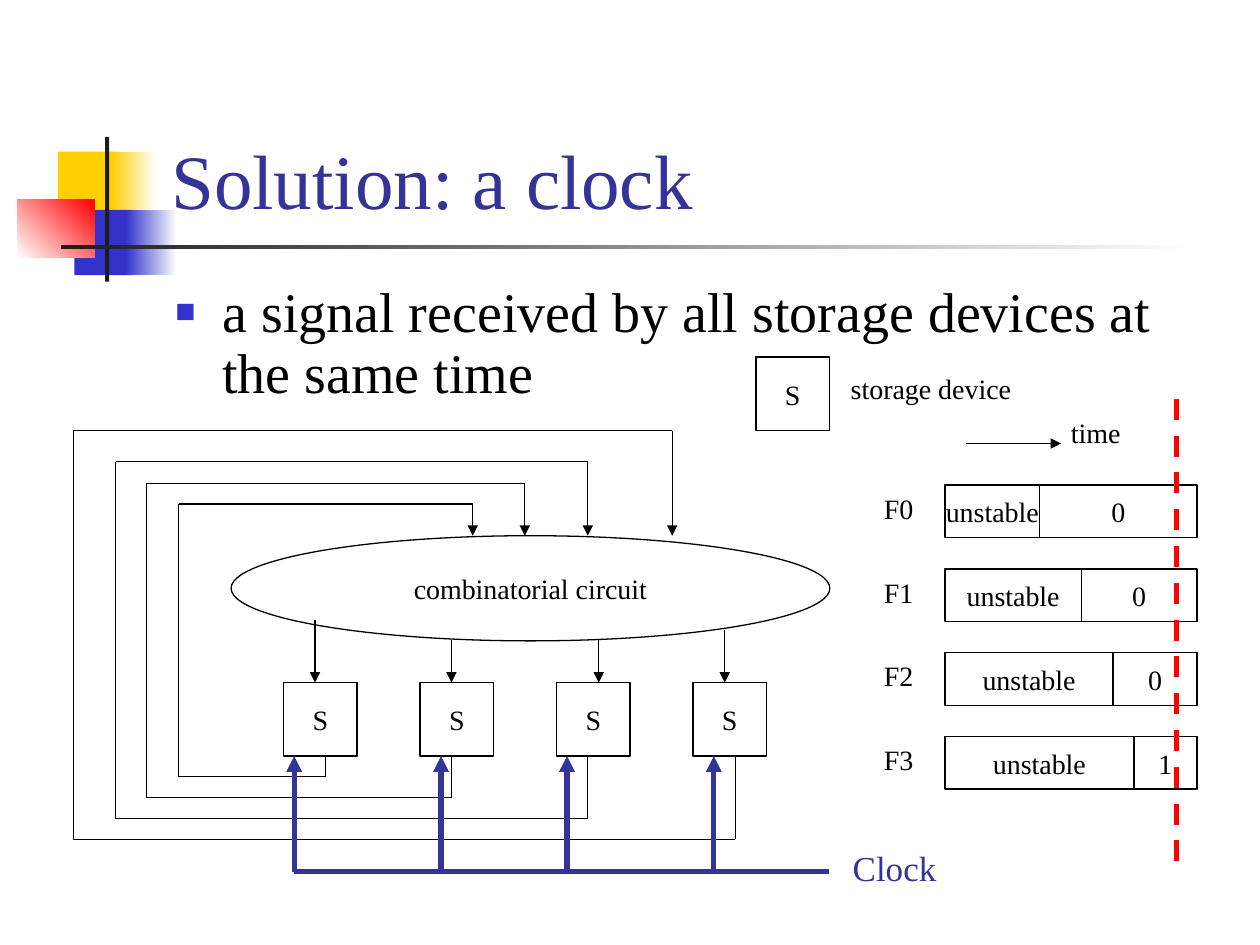
import lxml.etree
import pptx
import pptx.dml.color
import pptx.enum.dml
import pptx.enum.shapes
import pptx.enum.text
import pptx.oxml.ns
import pptx.util

Cm = pptx.util.Cm
Pt = pptx.util.Pt
RGB = pptx.dml.color.RGBColor
SHAPE = pptx.enum.shapes.MSO_SHAPE
ALIGN = pptx.enum.text.PP_ALIGN
ANCHOR = pptx.enum.text.MSO_ANCHOR
FIT = pptx.enum.text.MSO_AUTO_SIZE
qn = pptx.oxml.ns.qn
add = lxml.etree.SubElement

FONT = "Times New Roman"
BLACK = RGB(0x00, 0x00, 0x00)
WHITE = RGB(0xFF, 0xFF, 0xFF)
GOLD = RGB(0xFF, 0xCF, 0x01)
BLUE = RGB(0x33, 0x33, 0xCC)
NAVY = RGB(0x33, 0x33, 0x99)
RED = RGB(0xFF, 0x00, 0x00)
DARK = RGB(0x1C, 0x1C, 0x1C)

deck = pptx.Presentation()
deck.slide_width = Cm(25.4)
deck.slide_height = Cm(19.05)
slide = deck.slides.add_slide(deck.slide_layouts[1])
shapes = slide.shapes


def box(kind, left, top, width, height, text):
    """Draw an outlined shape with centred text."""
    shape = shapes.add_shape(kind, Cm(left), Cm(top), Cm(width), Cm(height))
    shape.shadow.inherit = False
    shape.fill.background()
    shape.line.color.rgb = BLACK
    shape.line.width = Pt(0.75)
    frame = shape.text_frame
    frame.word_wrap = False
    frame.vertical_anchor = ANCHOR.MIDDLE
    para = frame.paragraphs[0]
    para.alignment = ALIGN.CENTER
    run = para.add_run()
    run.text = text
    run.font.name = FONT
    run.font.size = Pt(16)
    run.font.color.rgb = BLACK


def wire(points, color=BLACK, width=0.75, arrow=False, dash=False):
    """Join the points with straight lines, the arrowhead on the last one."""
    for start, end in zip(points, points[1:]):
        line = shapes.add_connector(
            pptx.enum.shapes.MSO_CONNECTOR.STRAIGHT,
            Cm(start[0]), Cm(start[1]), Cm(end[0]), Cm(end[1]))
        line.line.color.rgb = color
        line.line.width = Pt(width)
        if dash:
            line.line.dash_style = pptx.enum.dml.MSO_LINE.DASH
        props = line._element.spPr
        if arrow and end == points[-1]:
            add(props.find(qn("a:ln")), qn("a:tailEnd"), type="triangle")
        add(props, qn("a:effectLst"))


# Corner ornament: place, first colour, last colour, angle
ornament = [
    (1.17, 3.06, 1.22, 1.32, GOLD, None, 0),
    (2.24, 3.06, 0.91, 1.32, GOLD, WHITE, 0),
    (1.5, 4.23, 1.17, 1.32, BLUE, None, 0),
    (2.54, 4.23, 1.02, 1.32, BLUE, WHITE, 0),
    (0.36, 4.02, 1.55, 1.17, WHITE, RED, 45),
    (2.12, 2.76, 0.08, 2.92, DARK, None, 0),
    (1.23, 4.94, 22.86, 0.09, DARK, WHITE, 0),
]
for left, top, width, height, first, last, angle in ornament:
    patch = shapes.add_shape(
        SHAPE.RECTANGLE, Cm(left), Cm(top), Cm(width), Cm(height))
    patch.shadow.inherit = False
    patch.line.fill.background()
    if last is None:
        patch.fill.solid()
        patch.fill.fore_color.rgb = first
    else:
        patch.fill.gradient()
        patch.fill.gradient_angle = angle
        for stop, color in zip(patch.fill.gradient_stops, (first, last)):
            stop.color.rgb = color

# Title and list
title = shapes.title
title.left, title.top = Cm(3.2), Cm(0.6)
title.width, title.height = Cm(21.64), Cm(4.06)
title.text_frame.vertical_anchor = ANCHOR.BOTTOM
title.text_frame.auto_size = FIT.NONE
para = title.text_frame.paragraphs[0]
para.alignment = ALIGN.LEFT
run = para.add_run()
run.text = "Solution: a clock"
run.font.name = FONT
run.font.size = Pt(44)
run.font.color.rgb = NAVY

body = slide.placeholders[1]
body.left, body.top = Cm(3.28), Cm(5.6)
body.width, body.height = Cm(21.59), Cm(2.87)
body.text_frame.auto_size = FIT.NONE
para = body.text_frame.paragraphs[0]
props = para._p.get_or_add_pPr()
props.set("marL", str(Cm(0.95)))
props.set("indent", str(Cm(-0.95)))
add(add(props, qn("a:buClr")), qn("a:srgbClr"), val=str(BLUE))
add(props, qn("a:buSzPct"), val="60000")
add(props, qn("a:buFont"), typeface=FONT)
add(props, qn("a:buChar"), char="■")
para.line_spacing = 0.9
para.space_before = Pt(0)
run = para.add_run()
run.text = "a signal received by all storage devices at the same time"
run.font.name = FONT
run.font.size = Pt(32)
run.font.color.rgb = BLACK

# Storage devices, the legend's one last
side = 1.48
base = 15.24
for i in range(4):
    box(SHAPE.RECTANGLE, 5.72 + 2.75 * i, base - side, side, side, "S")
box(SHAPE.RECTANGLE, 15.24, 7.2, side, side, "S")

# Circuit with its outputs and feedback loops
crown = 10.8
box(SHAPE.OVAL, 4.66, crown, 12.07, 2.12, "combinatorial circuit")
loops = [
    (6.56, 3.6, 10.16, 9.53),
    (9.1, 2.96, 9.74, 10.58),
    (11.85, 2.33, 9.31, 11.85),
    (14.82, 1.48, 8.68, 13.55),
]
for i, (out, left, high, back) in enumerate(loops):
    low = base + 0.42 * (i + 1)
    wire([(out, base), (out, low), (left, low), (left, high),
          (back, high), (back, crown)], arrow=True)
for x, y in [(6.35, 12.49), (9.1, 12.91), (12.07, 12.91), (14.61, 12.7)]:
    wire([(x, y), (x, base - side)], arrow=True)

# Clock line
rail = 17.57
wire([(5.93, rail), (16.72, rail)], NAVY, 3)
for x in (5.93, 8.89, 11.43, 14.39):
    wire([(x, rail), (x, base)], NAVY, 3, arrow=True)

# Timing rows
labels = [
    ("Clock", 16.94, 16.94, 2.4, 1.12, 20, NAVY),
    ("storage device", 16.9, 7.37, 3.95, 0.94, 16, BLACK),
    ("time", 21.34, 8.26, 1.7, 0.94, 16, BLACK),
]
start, span = 19.05, 5.08
for i, (wait, value) in enumerate(
        [(1.91, "0"), (2.75, "0"), (3.39, "0"), (3.81, "1")]):
    top = 9.78 + 1.69 * i
    box(SHAPE.RECTANGLE, start, top, wait, 1.06, "unstable")
    box(SHAPE.RECTANGLE, start + wait, top, span - wait, 1.06, value)
    labels.append((f"F{i}", 17.57, top, 1.3, 0.94, 16, BLACK))
wire([(19.48, 8.94), (21.39, 8.94)], arrow=True)

for text, left, top, width, height, size, color in labels:
    label = shapes.add_textbox(Cm(left), Cm(top), Cm(width), Cm(height))
    label.text_frame.word_wrap = True
    label.text_frame.auto_size = FIT.NONE
    run = label.text_frame.paragraphs[0].add_run()
    run.text = text
    run.font.name = FONT
    run.font.size = Pt(size)
    run.font.color.rgb = color

wire([(23.71, 8.04), (23.71, 17.36)], RED, 3, dash=True)

deck.save("out.pptx")
